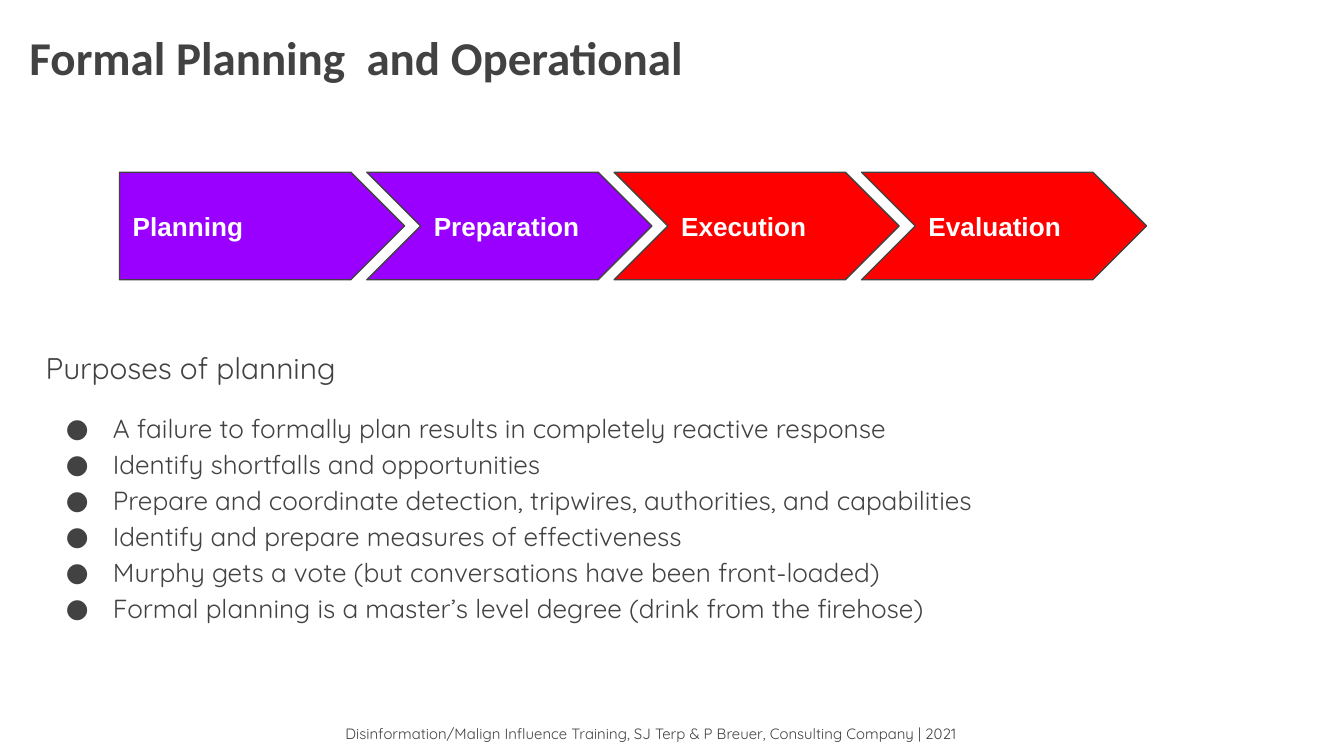
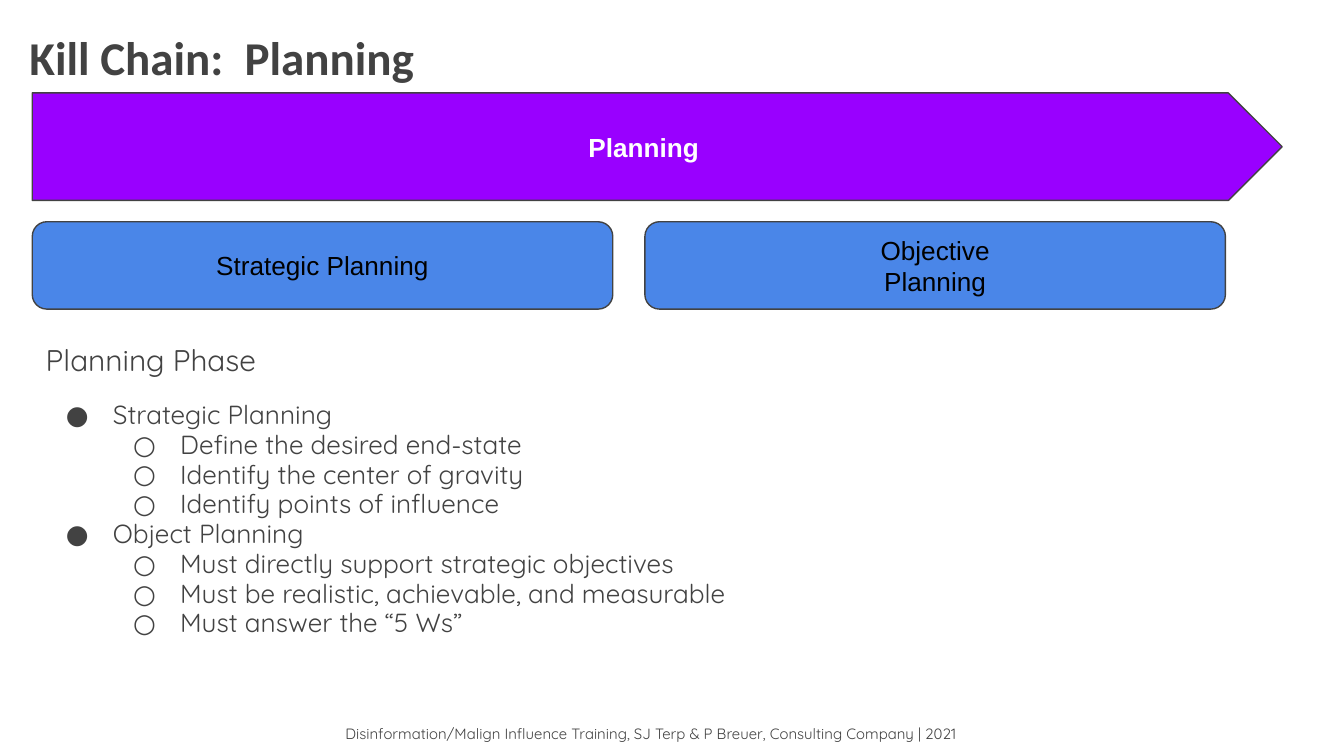
"""Build two slides on formal planning: a phase chain and its planning phase."""
from dataclasses import dataclass

from lxml.etree import SubElement
from pptx import Presentation
from pptx.dml.color import RGBColor
from pptx.enum.shapes import MSO_SHAPE
from pptx.enum.text import MSO_ANCHOR, MSO_AUTO_SIZE, PP_ALIGN
from pptx.oxml.ns import qn
from pptx.util import Pt


@dataclass(frozen=True)
class Theme:
    ink: str = "424242"
    white: str = "FFFFFF"
    black: str = "000000"
    purple: str = "9900FF"
    red: str = "FF0000"
    blue: str = "4A86E8"
    title_font: str = "Calibri"
    body_font: str = "Quicksand"
    shape_font: str = "Arial"
    title_size: float = 25.2
    heading_size: float = 16
    text_size: float = 14
    footer_size: float = 8
    inset: float = 7.2
    outline: float = 0.75


T = Theme()
TITLE_BOX = (8.6, 8, 647, 46.8)
BODY_BOX = (17.3, 177.2, 638.6, 180)
FOOTER_BOX = (124, 381, 450, 24.5)
BULLETS = "●○"
INDENT, HANGING = 36, 25.2
LEFT, CENTER = PP_ALIGN.LEFT, PP_ALIGN.CENTER
PENTAGON, CHEVRON, ROUNDED = (
    MSO_SHAPE.PENTAGON, MSO_SHAPE.CHEVRON, MSO_SHAPE.ROUNDED_RECTANGLE)

FOOTER = "Disinformation/Malign Influence Training, SJ Terp & P Breuer, Consulting Company | 2021"

SLIDES = [
    {
        "title": "Formal Planning  and Operational",
        "heading": "Purposes of planning",
        "spacing": 1.15,
        "bullets": [
            (0, "A failure to formally plan results in completely reactive response"),
            (0, "Identify shortfalls and opportunities"),
            (0, "Prepare and coordinate detection, tripwires, authorities, and capabilities"),
            (0, "Identify and prepare measures of effectiveness"),
            (0, "Murphy gets a vote (but conversations have been front-loaded)"),
            (0, "Formal planning is a master’s level degree (drink from the firehose)"),
        ],
        "rows": [
            {
                "box": (64, 92.3, 152.7, 57.6), "pitch": 132.5, "adj": 0.5,
                "align": LEFT, "color": T.white, "bold": True,
                "items": [
                    (PENTAGON, "Planning", T.purple),
                    (CHEVRON, "Preparation", T.purple),
                    (CHEVRON, "Execution", T.red),
                    (CHEVRON, "Evaluation", T.red),
                ],
            },
        ],
    },
    {
        "title": "Kill Chain:  Planning",
        "heading": "Planning Phase",
        "spacing": 0.95,
        "bullets": [
            (0, "Strategic Planning"),
            (1, "Define the desired end-state"),
            (1, "Identify the center of gravity"),
            (1, "Identify points of influence"),
            (0, "Object Planning"),
            (1, "Must directly support strategic objectives"),
            (1, "Must be realistic, achievable, and measurable"),
            (1, "Must answer the “5 Ws”"),
        ],
        "rows": [
            {
                "box": (17.3, 49.8, 669.6, 57.6), "pitch": 0, "adj": 0.5,
                "align": CENTER, "color": T.white, "bold": True,
                "items": [(PENTAGON, "Planning", T.purple)],
            },
            {
                "box": (17.3, 118.8, 311, 46.8), "pitch": 328.2, "adj": 0.167,
                "align": CENTER, "color": T.black, "bold": False,
                "items": [
                    (ROUNDED, "Strategic Planning", T.blue),
                    (ROUNDED, "Objective\nPlanning", T.blue),
                ],
            },
        ],
    },
]


def place(sp, box):
    for name, value in zip(("left", "top", "width", "height"), box):
        setattr(sp, name, Pt(value))


def frame(sp, anchor=MSO_ANCHOR.TOP):
    tf = sp.text_frame
    inset = Pt(T.inset)
    options = {"word_wrap": True, "auto_size": MSO_AUTO_SIZE.NONE,
               "vertical_anchor": anchor, "margin_left": inset, "margin_top": inset,
               "margin_right": inset, "margin_bottom": inset}
    for name, value in options.items():
        setattr(tf, name, value)
    return tf


def write(p, text, font, size, color=T.ink, bold=False, align=LEFT):
    p.text = text
    p.alignment = align
    for r in p.runs:
        for name, value in {"name": font, "size": Pt(size), "bold": bold}.items():
            setattr(r.font, name, value)
        r.font.color.rgb = RGBColor.from_string(color)


def set_bullet(p, level=None):
    pPr = p._p.get_or_add_pPr()
    if level is None:
        pPr.set("marL", "0")
        pPr.set("indent", "0")
        SubElement(pPr, qn("a:buNone"))
        return
    p.level = level
    pPr.set("marL", str(Pt(INDENT * (level + 1))))
    pPr.set("indent", str(-Pt(HANGING)))
    SubElement(SubElement(pPr, qn("a:buClr")), qn("a:srgbClr"), val=T.ink)
    SubElement(pPr, qn("a:buFont"), typeface=T.body_font)
    SubElement(pPr, qn("a:buChar"), char=BULLETS[level])


def add_body(sp, heading, bullets, spacing):
    place(sp, BODY_BOX)
    tf = frame(sp)
    lines = [(None, heading)] + bullets
    for i, (level, text) in enumerate(lines):
        p = tf.add_paragraph() if i else tf.paragraphs[0]
        set_bullet(p, level)
        p.line_spacing = spacing
        p.space_before = Pt(12 if i == 1 else 0)
        write(p, text, T.body_font, T.text_size if i else T.heading_size)


def add_row(s, row):
    left, top, width, height = row["box"]
    for i, (kind, label, fill) in enumerate(row["items"]):
        x = left + i * row["pitch"]
        sp = s.shapes.add_shape(kind, Pt(x), Pt(top), Pt(width), Pt(height))
        sp.adjustments[0] = row["adj"]
        sp.shadow.inherit = False
        sp.fill.solid()
        sp.fill.fore_color.rgb = RGBColor.from_string(fill)
        sp.line.color.rgb = RGBColor.from_string(T.ink)
        sp.line.width = Pt(T.outline)
        p = frame(sp, MSO_ANCHOR.MIDDLE).paragraphs[0]
        write(p, label, T.shape_font, T.text_size, row["color"], row["bold"], row["align"])


def add_slide(prs, content):
    s = prs.slides.add_slide(prs.slide_layouts[1])
    footer = s.shapes.add_textbox(*map(Pt, FOOTER_BOX))
    write(frame(footer).paragraphs[0], FOOTER, T.body_font, T.footer_size, align=CENTER)
    title, body = s.placeholders
    place(title, TITLE_BOX)
    write(frame(title).paragraphs[0], content["title"], T.title_font, T.title_size, bold=True)
    add_body(body, content["heading"], content["bullets"], content["spacing"])
    for row in content["rows"]:
        add_row(s, row)


def main():
    prs = Presentation()
    prs.slide_width, prs.slide_height = Pt(720), Pt(405)
    for content in SLIDES:
        add_slide(prs, content)
    prs.save("out.pptx")


if __name__ == "__main__":
    main()
